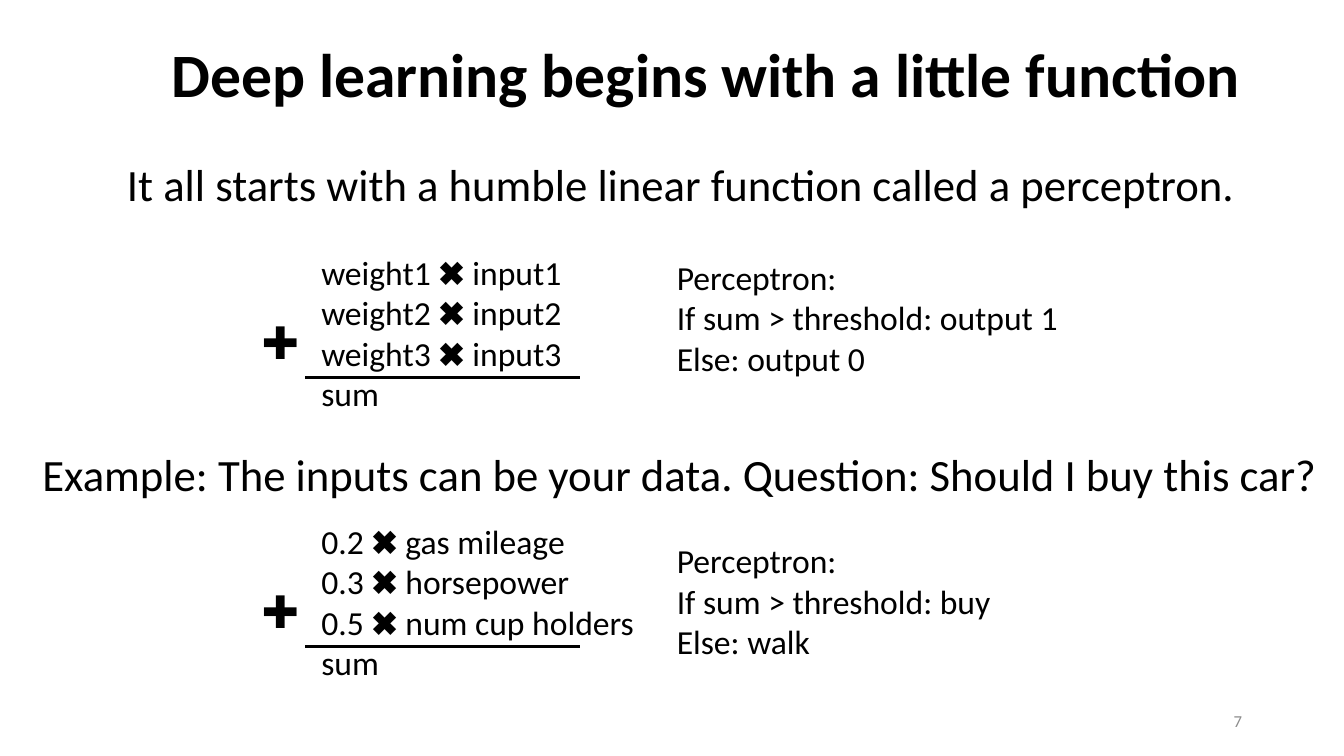
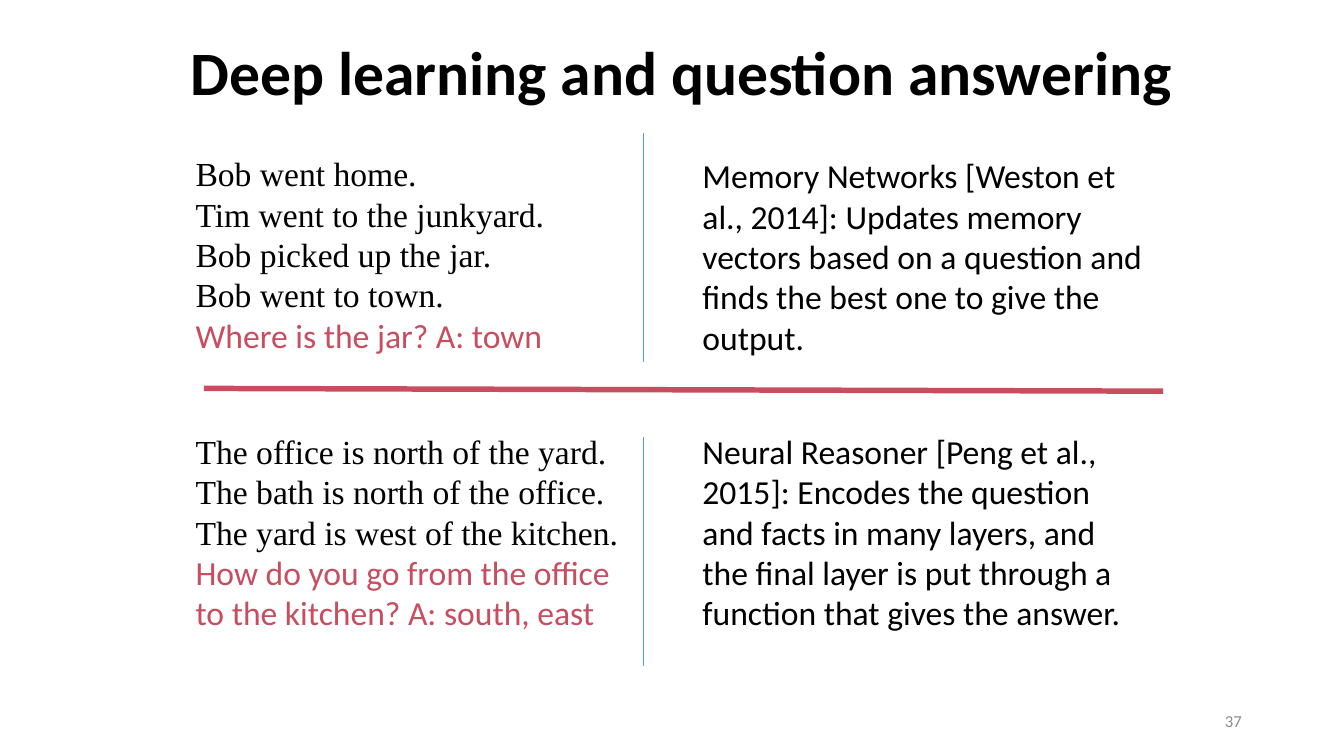
from pptx import Presentation
from pptx.dml.color import RGBColor
from pptx.enum import shapes, text
from pptx.oxml.ns import qn
from pptx.util import Pt
from lxml import etree

COLORS = {"ink": "000000", "rose": "C84D5F", "blue": "5B9BD5", "gray": "8C8C8C"}
SANS, SERIF = "Calibri", "Times New Roman"
LARGE, BODY, SMALL = 32.6, 24.5, 12.2
ALIGN, ANCHOR = text.PP_ALIGN, text.MSO_ANCHOR


def rgb(name):
    return RGBColor.from_string(COLORS[name])


def write(frame, lines, size=BODY, font=SANS, color="ink", bold=False,
          align=ALIGN.LEFT, anchor=ANCHOR.TOP, space=None):
    """Fill a frame; a line is a string or a (string, font, color) tuple."""
    frame.word_wrap = True
    frame.auto_size = text.MSO_AUTO_SIZE.NONE
    frame.vertical_anchor = anchor
    for i, line in enumerate(lines):
        words, face, tint = (line, font, color) if isinstance(line, str) else line
        para = frame.paragraphs[0] if i == 0 else frame.add_paragraph()
        para.alignment = align
        if space:
            para.line_spacing = space
        run = para.add_run()
        run.text = words
        run.font.size, run.font.name, run.font.bold = Pt(size), face, bold
        run.font.color.rgb = rgb(tint)


class Deck:
    def __init__(self):
        self.prs = Presentation()
        self.prs.slide_width, self.prs.slide_height = Pt(979.2), Pt(550.8)
        self.slide = None

    def page(self, title, number, left, top):
        self.slide = self.prs.slides.add_slide(self.prs.slide_layouts[5])
        head = self.slide.shapes.title
        head.left, head.top, head.width, head.height = map(Pt, (left, top, 844.5, 106.5))
        write(head.text_frame, [title], size=44.9, bold=True, align=ALIGN.CENTER,
              anchor=ANCHOR.MIDDLE, space=0.9)
        self.text(692, 510.5, 220, 29.5, [number], size=SMALL, color="gray",
                  align=ALIGN.RIGHT, anchor=ANCHOR.MIDDLE)

    def text(self, left, top, width, height, lines, **style):
        box = self.slide.shapes.add_textbox(*map(Pt, (left, top, width, height)))
        write(box.text_frame, lines, **style)

    def line(self, x1, y1, x2, y2, color="ink", weight=2):
        rule = self.slide.shapes.add_connector(
            shapes.MSO_CONNECTOR.STRAIGHT, *map(Pt, (x1, y1, x2, y2)))
        rule.line.color.rgb = rgb(color)
        rule.line.width = Pt(weight)
        etree.SubElement(rule._element.spPr, qn("a:effectLst"))

    def sum(self, top, terms):
        """Column of weighted terms with a plus sign and a rule above the sum."""
        self.text(227, top, 250, 128, [f"{a} ✖ {b}" for a, b in terms] + ["sum"])
        self.line(222.5, top + 95, 422.5, top + 95)
        self.text(183.5, top + 46, 44, 48, ["✚"], size=LARGE)

    def rule(self, top, yes, no):
        self.text(486, top, 301, 98, ["Perceptron:", f"If sum > threshold: {yes}",
                                      f"Else: {no}"])


def main():
    deck = Deck()

    deck.page("Deep learning begins with a little function", "7", 92, 3)
    deck.text(73, 111, 847, 48,
              ["It all starts with a humble linear function called a perceptron."],
              size=LARGE, align=ALIGN.CENTER)
    deck.sum(180, [(f"weight{i}", f"input{i}") for i in (1, 2, 3)])
    deck.rule(183.5, "output 1", "output 0")
    deck.text(23.8, 322, 955, 48,
              ["Example: The inputs can be your data. Question: Should I buy this car?"],
              size=LARGE)
    deck.sum(376, [("0.2", "gas mileage"), ("0.3", "horsepower"),
                   ("0.5", "num cup holders")])
    deck.rule(390, "buy", "walk")

    deck.page("Deep learning and question answering", "37", 74, 1.5)
    deck.text(135.4, 108, 325, 158, [
        "Bob went home.", "Tim went to the junkyard.", "Bob picked up the jar.",
        "Bob went to town.", ("Where is the jar? A: town", SANS, "rose")], font=SERIF)
    deck.text(504.7, 109.5, 337, 158, [
        "Memory Networks [Weston et al., 2014]: Updates memory vectors based on a "
        "question and finds the best one to give the output."])
    deck.text(135.4, 310.3, 325, 156, [
        "The office is north of the yard.", "The bath is north of the office.",
        "The yard is west of the kitchen.",
        ("How do you go from the office to the kitchen? A: south, east", SANS, "rose")],
        font=SERIF)
    deck.text(504.7, 310.3, 325, 156, [
        "Neural Reasoner [Peng et al., 2015]: Encodes the question and facts in many "
        "layers, and the final layer is put through a function that gives the answer."])
    for top in (97, 318.5):
        deck.line(468.7, top, 468.7, top + 166.5, "blue", 0.5)
    deck.line(148.5, 283, 847.5, 285, "rose", 4)

    deck.prs.save("out.pptx")


if __name__ == "__main__":
    main()
